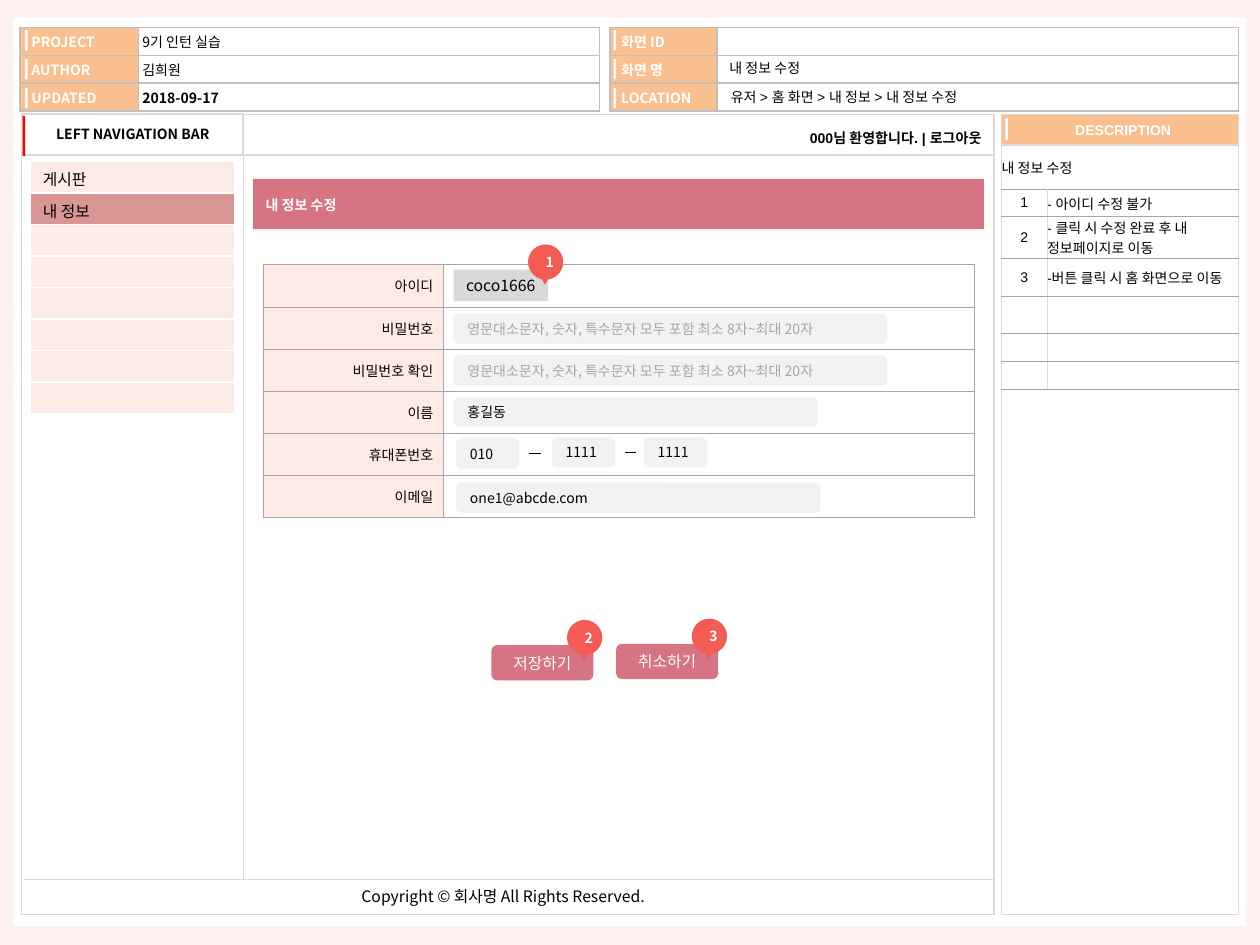
from pptx import Presentation
from pptx.dml.color import RGBColor
from pptx.enum.shapes import MSO_CONNECTOR, MSO_SHAPE
from pptx.enum.text import MSO_ANCHOR, PP_ALIGN
from pptx.oxml import parse_xml
from pptx.oxml.ns import nsdecls
from pptx.util import Inches, Pt

NOTO = "Noto Sans CJK KR"
ARIAL = "Arial"
BLACK, WHITE = "000000", "FFFFFF"
ORANGE, BLUSH, ROSE, CORAL = "FAC090", "FFEBE5", "D67484", "F25C54"
FIELD, PALE, SILVER, GRAY = "F2F2F2", "D9D9D9", "C0C0C0", "A6A6A6"
TIGHT = (0.08, 0.04, 0.08, 0.04)
NORMAL = (0.1, 0.05, 0.1, 0.05)
LEFT, CENTER, RIGHT = PP_ALIGN.LEFT, PP_ALIGN.CENTER, PP_ALIGN.RIGHT


def color(value):
    return RGBColor.from_string(value)


def set_text(frame, text, size=8, font=NOTO, ink=BLACK, bold=False, align=LEFT):
    paragraph = frame.paragraphs[0]
    paragraph.text = text
    paragraph.alignment = align
    paragraph.font.size = Pt(size)
    paragraph.font.name = font
    paragraph.font.bold = bold
    paragraph.font.color.rgb = color(ink)


def set_margins(target, margins):
    left, top, right, bottom = map(Inches, margins)
    target.margin_left, target.margin_top = left, top
    target.margin_right, target.margin_bottom = right, bottom


def add_box(shapes, box, fill=None, line=None, kind=MSO_SHAPE.RECTANGLE,
            text=None, anchor=MSO_ANCHOR.MIDDLE, wrap=True, **style):
    shape = shapes.add_shape(kind, *map(Inches, box))
    shape.shadow.inherit = False
    if fill:
        shape.fill.solid()
        shape.fill.fore_color.rgb = color(fill)
    else:
        shape.fill.background()
    if line:
        shape.line.color.rgb = color(line)
        shape.line.width = Pt(0.75)
    else:
        shape.line.fill.background()
    if text:
        shape.text_frame.word_wrap = wrap
        shape.text_frame.vertical_anchor = anchor
        set_text(shape.text_frame, text, **style)
    return shape


def add_label(slide, box, text, margins=TIGHT, wrap=True, **style):
    frame = slide.shapes.add_textbox(*map(Inches, box)).text_frame
    frame.word_wrap = wrap
    set_margins(frame, margins)
    set_text(frame, text, **style)


def add_line(slide, start, end, ink=PALE, width=1):
    line = slide.shapes.add_connector(
        MSO_CONNECTOR.STRAIGHT, *map(Inches, start + end))
    line.line.color.rgb = color(ink)
    line.line.width = Pt(width)
    line._element.spPr.append(parse_xml(f"<a:effectLst {nsdecls('a')}/>"))


def add_grid(slide, left, top, widths, heights):
    shape = slide.shapes.add_table(
        len(heights), len(widths), Inches(left), Inches(top),
        Inches(sum(widths)), Inches(sum(heights)))
    table = shape.table
    table.first_row = table.horz_banding = False
    for column, width in zip(table.columns, widths):
        column.width = Inches(width)
    for row, height in zip(table.rows, heights):
        row.height = Inches(height)
    return table


def fill_cell(cell, text, fill, borders, margins=(0, 0, 0, 0),
              anchor=MSO_ANCHOR.MIDDLE, **style):
    set_margins(cell, margins)
    cell.vertical_anchor = anchor
    properties = cell._tc.get_or_add_tcPr()
    for side, (ink, width) in zip("LRTB", borders):
        properties.append(parse_xml(
            f'<a:ln{side} {nsdecls("a")} w="{int(Pt(width))}"><a:solidFill>'
            f'<a:srgbClr val="{ink}"/></a:solidFill></a:ln{side}>'))
    cell.fill.solid()
    cell.fill.fore_color.rgb = color(fill)
    set_text(cell.text_frame, text, **style)


def add_header(slide, left, top, widths, rows, tick_left):
    table = add_grid(slide, left, top, widths, [0.22] * len(rows))
    borders = [(SILVER, 1)] * 4
    for index, (name, value, bold) in enumerate(rows):
        fill_cell(table.cell(index, 0), name, ORANGE, borders,
                  (0.09, 0, 0.03, 0), ink=WHITE, bold=True)
        fill_cell(table.cell(index, 1), value, WHITE, borders,
                  (0.03, 0, 0.03, 0), bold=bold)
        add_box(slide.shapes, (tick_left, top + 0.02 + 0.23 * index, 0.02, 0.16), WHITE)


def add_description(slide, left, top, width, height):
    side = (PALE, 1)
    frame = add_grid(slide, left, top, [width], [0.25, height - 0.25])
    fill_cell(frame.cell(0, 0), "DESCRIPTION", ORANGE,
              [side, side, side, (SILVER, 1)], (0.05, 0, 0, 0),
              font=ARIAL, ink=WHITE, bold=True, align=CENTER)
    fill_cell(frame.cell(1, 0), "", WHITE, [side, side, (SILVER, 1), side])
    add_box(slide.shapes, (left + 0.03, top + 0.03, 0.02, 0.17), WHITE)

    notes = ["- 아이디 수정 불가", "- 클릭 시 수정 완료 후 내 정보페이지로 이동",
             "-버튼 클릭 시 홈 화면으로 이동", "", "", ""]
    table = add_grid(slide, left, top + 0.24, [0.36, width - 0.36],
                     [0.35, 0.22, 0.33, 0.3, 0.3, 0.22, 0.22])
    rule = (GRAY, 0.5)
    table.cell(0, 0).merge(table.cell(0, 1))
    for column in range(2):
        fill_cell(table.cell(0, column), "" if column else "내 정보 수정", WHITE,
                  [side, side, side, rule], font=ARIAL)
    for index, note in enumerate(notes, 1):
        number = str(index) if note else ""
        fill_cell(table.cell(index, 0), number, WHITE,
                  [side, (PALE, 0.5), rule, rule], font=ARIAL, align=CENTER)
        fill_cell(table.cell(index, 1), note, WHITE,
                  [(PALE, 0.5), side, rule, rule], font=ARIAL)


def add_navigation(slide, left, top):
    add_box(slide.shapes, (left, top, 1.75, 0.33), line=PALE,
            text="LEFT NAVIGATION BAR", bold=True, align=CENTER)
    add_box(slide.shapes, (left, top + 0.02, 0.02, 0.32), "FF0000")
    names = ["게시판", "내 정보"] + [""] * 6
    table = add_grid(slide, left + 0.06, top + 0.38, [1.62], [0.25] * len(names))
    for index, name in enumerate(names):
        fill_cell(table.cell(index, 0), name, "D99694" if index == 1 else BLUSH,
                  [(WHITE, 1)] * 4, (0.1, 0.05, 0.1, 0),
                  anchor=MSO_ANCHOR.TOP, size=9)


def add_frame(slide, left, top, width, height):
    right, split, foot = left + width, 1.93, 6.98
    add_box(slide.shapes, (left, top, width, height), line=PALE)
    add_line(slide, (left + 0.02, foot), (right, foot))
    add_line(slide, (split, top), (split, foot), width=0.75)
    add_line(slide, (split, 1.23), (right, 1.23))
    add_label(slide, (2.77, 6.99, 2.52, 0.25),
              "Copyright © 회사명 All Rights Reserved.", NORMAL, False, size=9)
    add_label(slide, (5.29, 0.99, 2.58, 0.22), "000님 환영합니다. | 로그아웃",
              font=ARIAL, bold=True, align=RIGHT)


def add_field(slide, left, top, width, text, ink=BLACK):
    add_box(slide.shapes, (left, top, width, 0.24), FIELD,
            kind=MSO_SHAPE.ROUNDED_RECTANGLE, text=text, ink=ink)


def add_form(slide, left, top):
    names = ["아이디", "비밀번호", "비밀번호 확인", "이름", "휴대폰번호", "이메일"]
    table = add_grid(slide, left, top, [1.43, 4.21], [2.01 / len(names)] * len(names))
    borders = [(GRAY, 0.25)] * 4
    for index, name in enumerate(names):
        fill_cell(table.cell(index, 0), name, BLUSH, borders, TIGHT, align=RIGHT)
        fill_cell(table.cell(index, 1), "", WHITE, borders)

    column = left + 1.51
    add_box(slide.shapes, (column, top + 0.04, 0.75, 0.25), PALE, text="coco1666",
            anchor=MSO_ANCHOR.TOP, wrap=False, size=9)
    hint = "영문대소문자, 숫자, 특수문자 모두 포함 최소 8자~최대 20자"
    add_field(slide, column, top + 0.39, 3.44, hint, GRAY)
    add_field(slide, column, top + 0.72, 3.44, hint, GRAY)
    add_field(slide, column, top + 1.05, 2.89, "홍길동")
    add_field(slide, column + 0.02, top + 1.38, 0.5, "010")
    add_field(slide, column + 0.78, top + 1.37, 0.5, "1111")
    add_field(slide, column + 1.51, top + 1.37, 0.5, "1111")
    add_field(slide, column + 0.02, top + 1.73, 2.89, "one1@abcde.com")
    for start, level in ((column + 0.6, top + 1.5), (column + 1.36, top + 1.49)):
        add_line(slide, (start, level), (start + 0.09, level), BLACK, 0.75)


def add_marker(slide, left, top, number):
    shapes = slide.shapes.add_group_shape().shapes
    add_box(shapes, (left, top, 0.28, 0.28), CORAL, kind=MSO_SHAPE.OVAL,
            text=number, ink=WHITE, bold=True, align=CENTER)
    pointer = add_box(shapes, (left + 0.09, top + 0.24, 0.09, 0.08), CORAL,
                      kind=MSO_SHAPE.ISOSCELES_TRIANGLE)
    pointer.rotation = 180


def add_button(slide, left, top, text, number):
    add_box(slide.shapes, (left, top, 0.81, 0.28), ROSE,
            kind=MSO_SHAPE.ROUNDED_RECTANGLE, text=text, size=9, ink=WHITE, align=CENTER)
    add_marker(slide, left + 0.6, top - 0.2, number)


def add_title(slide, left, top):
    shapes = slide.shapes.add_group_shape().shapes
    add_box(shapes, (left, top, 5.8, 0.4), ROSE)
    add_box(shapes, (left, top + 0.09, 5.14, 0.24), ROSE, text="내 정보 수정",
            anchor=MSO_ANCHOR.TOP, ink=WHITE, bold=True)


def main():
    presentation = Presentation()
    presentation.slide_width, presentation.slide_height = Inches(10), Inches(7.5)
    slide = presentation.slides.add_slide(presentation.slide_layouts[6])
    slide.background.fill.solid()
    slide.background.fill.fore_color.rgb = color("FFF1EF")
    add_box(slide.shapes, (0.1, 0.14, 9.79, 7.21), WHITE)
    add_header(slide, 0.16, 0.22, [0.94, 3.66],
               [("PROJECT", "9기 인턴 실습", False), ("AUTHOR", "김희원", False),
                ("UPDATED", "2018-09-17", True)], 0.2)
    add_header(slide, 4.84, 0.22, [0.85, 4.14],
               [("화면 ID", "", False), ("화면 명", "", False), ("LOCATION", "", False)], 4.87)
    add_label(slide, (5.72, 0.66, 2.9, 0.2), "유저 > 홈 화면 > 내 정보 > 내 정보 수정", font=ARIAL)
    add_label(slide, (5.71, 0.43, 2.9, 0.2), "내 정보 수정", font=ARIAL)
    add_frame(slide, 0.17, 0.91, 7.72, 6.35)
    add_description(slide, 7.95, 0.91, 1.88, 6.35)
    add_navigation(slide, 0.18, 0.9)
    add_title(slide, 2.01, 1.42)
    add_form(slide, 2.09, 2.1)
    add_marker(slide, 4.19, 1.94, "1")
    add_button(slide, 3.9, 5.12, "저장하기", "2")
    add_button(slide, 4.89, 5.11, "취소하기", "3")
    presentation.save("out.pptx")


if __name__ == "__main__":
    main()
